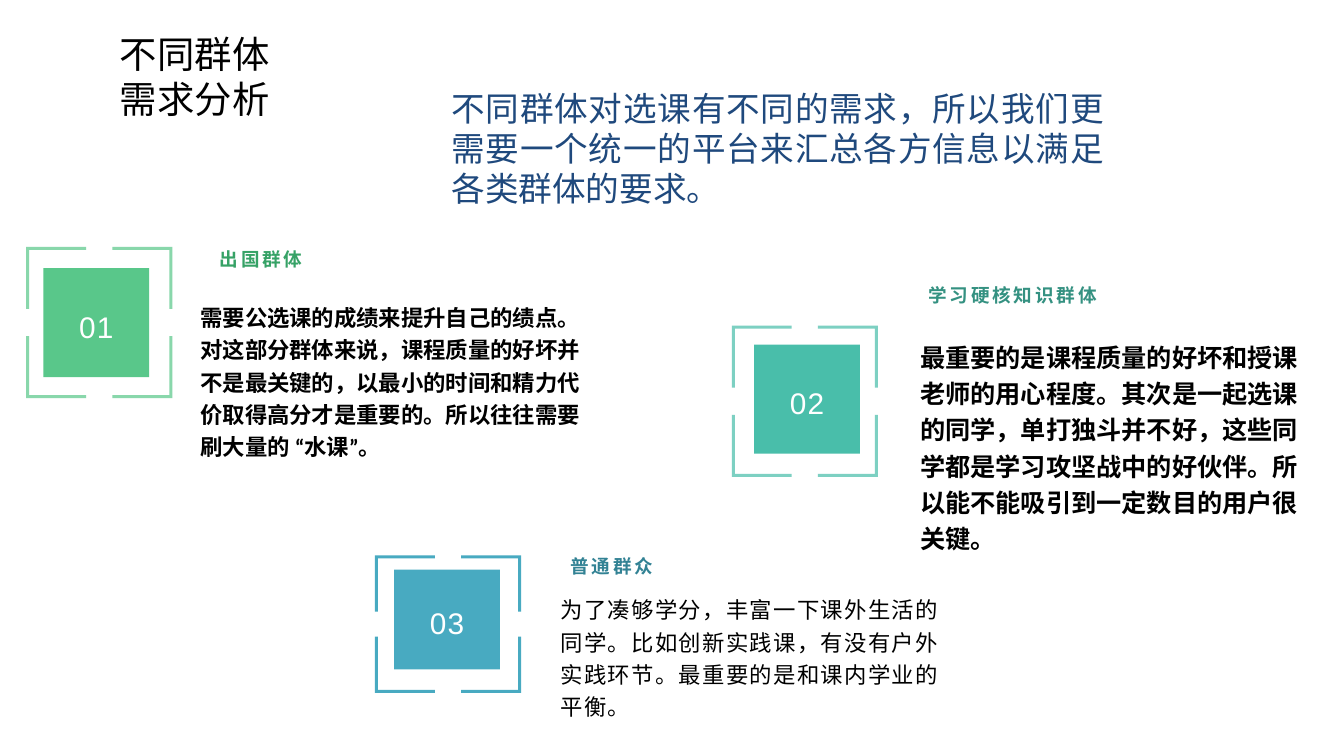
from dataclasses import dataclass

from lxml import etree
from pptx import Presentation
from pptx.dml.color import RGBColor
from pptx.enum import shapes, text
from pptx.oxml import ns
from pptx.util import Pt

COLORS = {
    "black": "000000",
    "white": "FFFFFF",
    "navy": "1F497D",
    "green": "59C78A",
    "dark green": "36A266",
    "teal": "49BEAA",
    "dark teal": "349181",
    "blue": "48AAC1",
    "dark blue": "328294",
}
NUMBER_WIDTH = 75.6
FRAME_WIDTH = 104.4
FRAME_LINE = 2.16
ARM_SHARE = 0.41
TEXT_WIDTH = 285.1


@dataclass(frozen=True)
class Box:
    left: float
    top: float
    width: float
    height: float


@dataclass(frozen=True)
class Style:
    size: float
    font: str
    color: str
    bold: bool = False
    spacing: int = 0
    line_spacing: float = 1.0
    align: text.PP_ALIGN = text.PP_ALIGN.LEFT
    anchor: text.MSO_ANCHOR = text.MSO_ANCHOR.TOP
    margins: tuple[float, float] = (7.2, 3.6)
    auto_size: text.MSO_AUTO_SIZE = text.MSO_AUTO_SIZE.NONE


@dataclass(frozen=True)
class Group:
    number: str
    color: str
    number_box: Box
    frame_box: Box
    frame_opacity: int
    heading: str
    heading_box: Box
    body: str
    body_box: Box
    body_style: Style


def set_attributes(target, values: dict) -> None:
    for name, value in values.items():
        setattr(target, name, value)


def fill_shape(shape, color: str, opacity: int = 100) -> None:
    shape.shadow.inherit = False
    shape.line.fill.background()
    shape.fill.solid()
    shape.fill.fore_color.rgb = RGBColor.from_string(COLORS[color])
    if opacity < 100:
        color_element = shape.fill._xPr.find(".//" + ns.qn("a:srgbClr"))
        alpha = etree.SubElement(color_element, ns.qn("a:alpha"))
        alpha.set("val", str(opacity * 1000))


def place(shape, box: Box) -> None:
    set_attributes(shape, {
        "left": Pt(box.left),
        "top": Pt(box.top),
        "width": Pt(box.width),
        "height": Pt(box.height),
    })


def write(shape, lines: list[str], style: Style) -> None:
    horizontal, vertical = style.margins
    frame = shape.text_frame
    set_attributes(frame, {
        "text": "\n".join(lines),
        "word_wrap": True,
        "auto_size": style.auto_size,
        "vertical_anchor": style.anchor,
        "margin_left": Pt(horizontal),
        "margin_right": Pt(horizontal),
        "margin_top": Pt(vertical),
        "margin_bottom": Pt(vertical),
    })
    for paragraph in frame.paragraphs:
        set_attributes(paragraph, {
            "alignment": style.align,
            "line_spacing": style.line_spacing,
        })
        for run in paragraph.runs:
            set_attributes(run.font, {
                "size": Pt(style.size),
                "name": style.font,
                "bold": style.bold,
            })
            run.font.color.rgb = RGBColor.from_string(COLORS[style.color])
            properties = run.font._element
            properties.set("spc", str(style.spacing * 100))
            east_asian = etree.Element(ns.qn("a:ea"), typeface=style.font)
            properties.find(ns.qn("a:latin")).addnext(east_asian)


def add_text(slide, box: Box, content: str, style: Style) -> None:
    shape = slide.shapes.add_textbox(0, 0, 0, 0)
    write(shape, [content], style)
    place(shape, box)


def add_frame(slide, box: Box, color: str, opacity: int) -> None:
    arm_x, arm_y = box.width * ARM_SHARE, box.height * ARM_SHARE
    builder = None
    for x, right in ((box.left, 1), (box.left + box.width, -1)):
        for y, down in ((box.top, 1), (box.top + box.height, -1)):
            offsets = [
                (0, 0), (arm_x, 0), (arm_x, FRAME_LINE),
                (FRAME_LINE, FRAME_LINE), (FRAME_LINE, arm_y), (0, arm_y),
            ]
            points = [(Pt(x + right * dx), Pt(y + down * dy)) for dx, dy in offsets]
            if builder is None:
                builder = slide.shapes.build_freeform(*points[0])
            else:
                builder.move_to(*points[0])
            builder.add_line_segments(points[1:], close=True)
    fill_shape(builder.convert_to_shape(), color, opacity)


def add_group(slide, group: Group) -> None:
    square = slide.shapes.add_shape(shapes.MSO_SHAPE.RECTANGLE, 0, 0, 0, 0)
    place(square, group.number_box)
    fill_shape(square, group.color)
    write(square, [group.number], NUMBER_STYLE)
    add_frame(slide, group.frame_box, group.color, group.frame_opacity)
    heading_style = Style(13.3, "Arial", "dark " + group.color, True, 2, 1.2,
                          anchor=text.MSO_ANCHOR.MIDDLE, margins=TIGHT)
    add_text(slide, group.heading_box, group.heading, heading_style)
    add_text(slide, group.body_box, group.body, group.body_style)


TIGHT = (5, 2.5)
GROW = text.MSO_AUTO_SIZE.SHAPE_TO_FIT_TEXT
TITLE_STYLE = Style(26.7, "Calibri", "black", auto_size=GROW)
SUMMARY_STYLE = Style(24, "Noto Sans CJK SC", "navy",
                      align=text.PP_ALIGN.JUSTIFY, auto_size=GROW)
NUMBER_STYLE = Style(21.3, "Arial", "white", spacing=1, line_spacing=1.2,
                     align=text.PP_ALIGN.CENTER, anchor=text.MSO_ANCHOR.MIDDLE)
GROUPS = [
    Group("01", "green", Box(31, 191.5, NUMBER_WIDTH, 77.8),
          Box(18.7, 176.4, FRAME_WIDTH, 108), 71,
          "出国群体", Box(151.9, 159.8, TEXT_WIDTH, 46.8),
          "需要公选课的成绩来提升自己的绩点。对这部分群体来说，课程质量的好坏并不是最关键的，"
          "以最小的时间和精力代价取得高分才是重要的。所以往往需要刷大量的 “水课”。",
          Box(138.2, 211, TEXT_WIDTH, 157),
          Style(16, "Calibri", "black", True, 0, 1.2, margins=TIGHT)),
    Group("02", "teal", Box(538.6, 246.2, NUMBER_WIDTH, 77.8),
          Box(522.7, 232.6, FRAME_WIDTH, 108), 71,
          "学习硬核知识群体", Box(658.1, 185.8, TEXT_WIDTH, 46.8),
          "最重要的是课程质量的好坏和授课老师的用心程度。其次是一起选课的同学，单打独斗并不好，"
          "这些同学都是学习攻坚战中的好伙伴。所以能不能吸引到一定数目的用户很关键。",
          Box(652.3, 237.6, TEXT_WIDTH, 186.5),
          Style(18, "Calibri", "black", True, 0, 1.2, margins=TIGHT)),
    Group("03", "blue", Box(281.5, 406.8, NUMBER_WIDTH, 71.3),
          Box(267.8, 396.7, FRAME_WIDTH, 98.3), 100,
          "普通群众", Box(402.5, 381.6, TEXT_WIDTH, 42.5),
          "为了凑够学分，丰富一下课外生活的同学。比如创新实践课，有没有户外实践环节。"
          "最重要的是和课内学业的平衡。",
          Box(395.3, 419.8, TEXT_WIDTH, 97.2),
          Style(16, "Arial", "black", False, 1, 1.2, margins=TIGHT)),
]


def main() -> None:
    presentation = Presentation()
    set_attributes(presentation, {"slide_width": Pt(960), "slide_height": Pt(540)})
    slide = presentation.slides.add_slide(presentation.slide_layouts[5])
    title = slide.shapes.title
    place(title, Box(78.5, 18.7, 135.4, 72))
    write(title, ["不同群体", "需求分析"], TITLE_STYLE)
    for group in GROUPS:
        add_group(slide, group)
    add_text(slide, Box(315.4, 59, 480.2, 94.3),
             "不同群体对选课有不同的需求，所以我们更需要一个统一的平台来汇总各方信息以满足各类群体的要求。",
             SUMMARY_STYLE)
    presentation.save("out.pptx")


if __name__ == "__main__":
    main()
